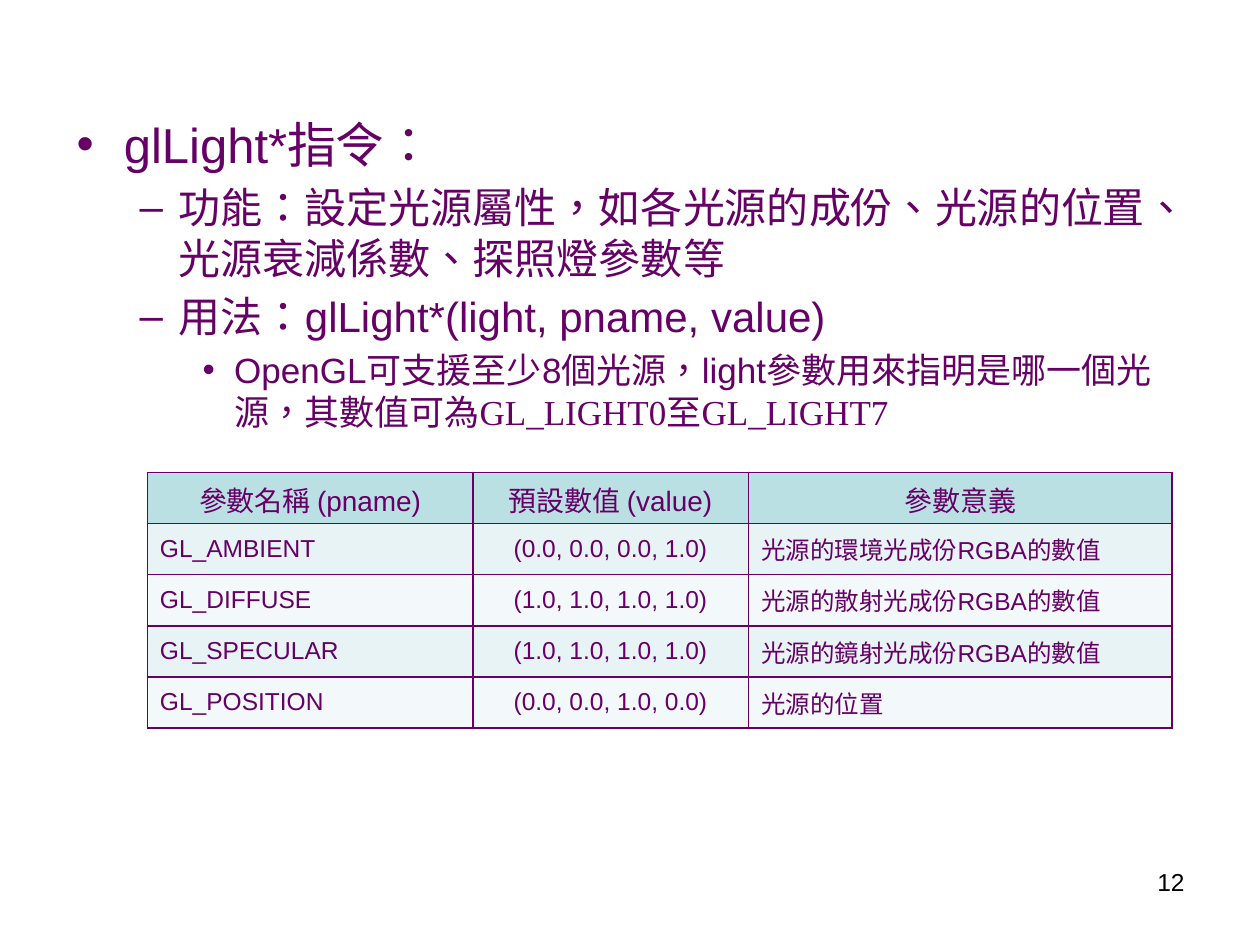
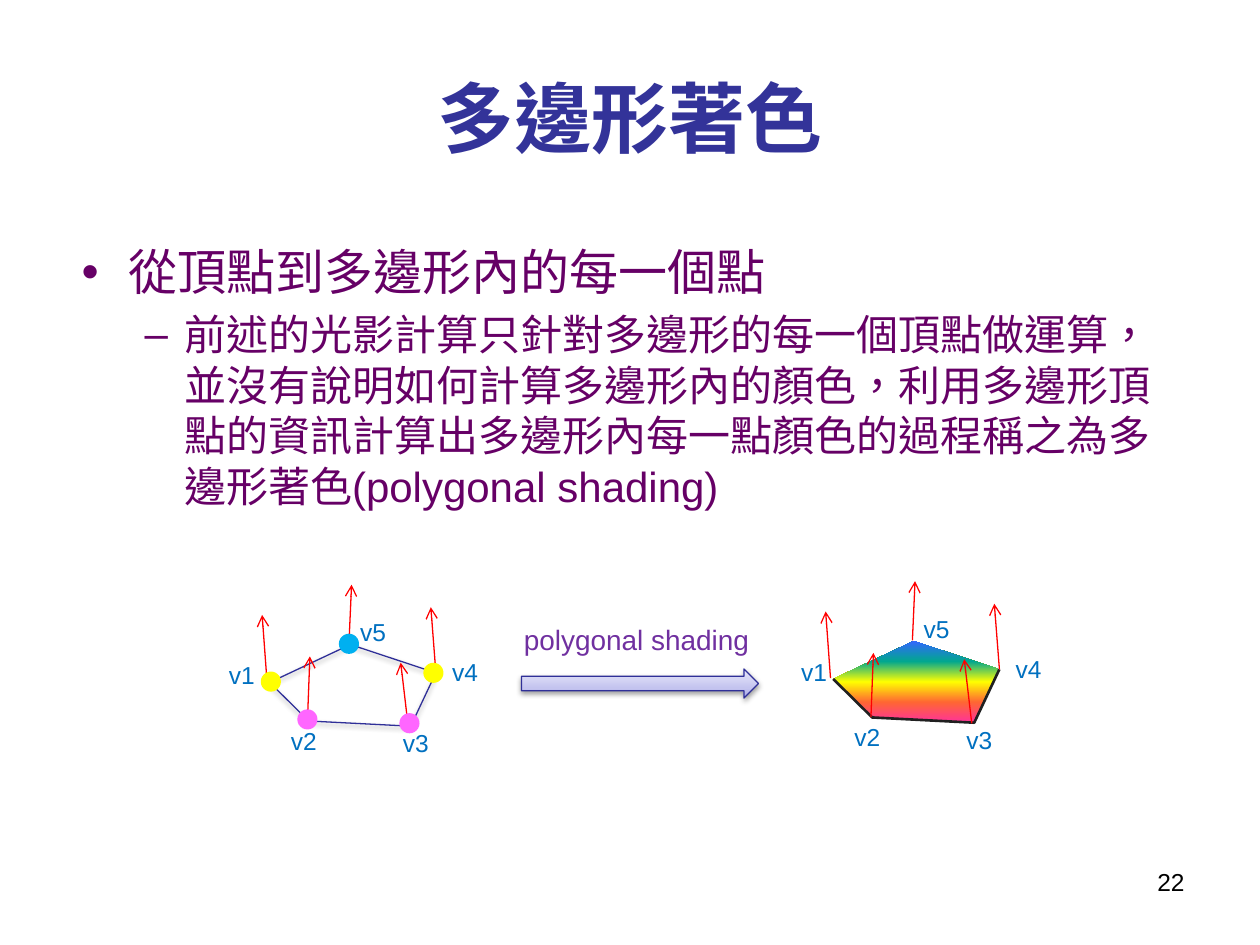
from dataclasses import dataclass

from lxml.etree import SubElement
from pptx import Presentation
from pptx.dml.color import RGBColor
from pptx.enum.lang import MSO_LANGUAGE_ID
from pptx.enum.shapes import MSO_CONNECTOR, MSO_SHAPE
from pptx.enum.text import MSO_ANCHOR, PP_ALIGN
from pptx.oxml.ns import qn
from pptx.util import Pt

LEFT, CENTER, RIGHT = PP_ALIGN.LEFT, PP_ALIGN.CENTER, PP_ALIGN.RIGHT
MIDDLE = MSO_ANCHOR.MIDDLE
STRAIGHT = MSO_CONNECTOR.STRAIGHT
OVAL, RIGHT_ARROW = MSO_SHAPE.OVAL, MSO_SHAPE.RIGHT_ARROW
ZH_TW = MSO_LANGUAGE_ID.TRADITIONAL_CHINESE


@dataclass(frozen=True)
class Theme:
    sans: str = "Arial"
    serif: str = "Times New Roman"
    title: str = "333399"
    body: str = "660066"
    number: str = "000000"
    label: str = "0070C0"
    caption: str = "7030A0"
    normal: str = "FF0000"
    outline: str = "2F2F98"
    edge: str = "202020"
    header: str = "BBE0E3"
    bands: tuple = ("E7F3F4", "F3F9FA")
    rainbow: tuple = ((0, "FF3399"), (25, "FF6633"), (50, "FFFF00"),
                      (75, "01A78F"), (100, "3366FF"))
    lavender: tuple = ((0, "A9A9E9"), (35, "C4C4EF"), (100, "E8E8FA"))
    title_size: int = 44
    body_sizes: tuple = (28, 24, 20)
    medium: int = 16
    small: int = 14


T = Theme()
# Bullet, left margin and hanging indent of each body level
LEVELS = (("•", 27, 27), ("–", 58.5, 22.5), ("•", 90, 18))


def add_box(slide, x, y, w, h):
    """Add a wrapping text box and return its text frame."""
    tf = slide.shapes.add_textbox(Pt(x), Pt(y), Pt(w), Pt(h)).text_frame
    tf.word_wrap = True
    return tf


def add_run(p, text, size, color, font=T.sans, bold=False):
    r = p.add_run()
    r.text = text
    r.font.name, r.font.size, r.font.bold = font, Pt(size), bold
    r.font.color.rgb = RGBColor.from_string(color)
    r.font.language_id = ZH_TW


prs = Presentation()
prs.slide_width, prs.slide_height = Pt(720), Pt(540)

# Body text and page numbers: number, body box, (level, runs) per paragraph
PAGES = (
    ("12", (36.7, 61.9, 648, 422.6), (
        (0, (("glLight*指令：", T.sans),)),
        (1, (("功能：設定光源屬性，如各光源的成份、光源的位置、光源衰減係數、探照燈參數等", T.sans),)),
        (1, (("用法：glLight*(light, pname, value)", T.sans),)),
        (2, (("OpenGL可支援至少8個光源，light參數用來指明是哪一個光源，其數值可為", T.sans),
             ("GL_LIGHT0至GL_LIGHT7", T.serif))),
    )),
    ("22", (39.6, 134.6, 648, 356.4), (
        (0, (("從頂點到多邊形內的每一個點", T.sans),)),
        (1, (("前述的光影計算只針對多邊形的每一個頂點做運算，並沒有說明如何計算多邊形內的顏色，"
              "利用多邊形頂點的資訊計算出多邊形內每一點顏色的過程稱之為多邊形著色"
              "(polygonal shading)", T.sans),)),
    )),
)
slides = []
for number, box, paragraphs in PAGES:
    slide = prs.slides.add_slide(prs.slide_layouts[6])
    slides.append(slide)
    tf = add_box(slide, *box)
    for i, (level, runs) in enumerate(paragraphs):
        p = tf.add_paragraph() if i else tf.paragraphs[0]
        size = T.body_sizes[level]
        bullet, margin, hanging = LEVELS[level]
        p.level = level
        p.space_before = Pt(0.2 * size)
        pPr = p._p.get_or_add_pPr()
        pPr.set("marL", str(Pt(margin)))
        pPr.set("indent", str(-Pt(hanging)))
        SubElement(pPr, qn("a:buFont"), typeface=T.sans)
        SubElement(pPr, qn("a:buChar"), char=bullet)
        for text, font in runs:
            add_run(p, text, size, T.body, font)
    p = add_box(slide, 516, 492, 168, 37.5).paragraphs[0]
    p.alignment = RIGHT
    add_run(p, number, T.small, T.number)
light_slide, shading_slide = slides

# Light parameter table
ROWS = (
    ("參數名稱 (pname)", "預設數值 (value)", "參數意義"),
    ("GL_AMBIENT", "(0.0, 0.0, 0.0, 1.0)", "光源的環境光成份RGBA的數值"),
    ("GL_DIFFUSE", "(1.0, 1.0, 1.0, 1.0)", "光源的散射光成份RGBA的數值"),
    ("GL_SPECULAR", "(1.0, 1.0, 1.0, 1.0)", "光源的鏡射光成份RGBA的數值"),
    ("GL_POSITION", "(0.0, 0.0, 1.0, 0.0)", "光源的位置"),
)
WIDTHS = (186, 157.5, 242)
ROW_HEIGHT = 29.2
table = light_slide.shapes.add_table(
    len(ROWS), len(WIDTHS), Pt(84.2), Pt(270),
    Pt(sum(WIDTHS)), Pt(ROW_HEIGHT * len(ROWS))).table
table.first_row = table.horz_banding = False
for column, width in zip(table.columns, WIDTHS):
    column.width = Pt(width)
for i, row in enumerate(ROWS):
    table.rows[i].height = Pt(ROW_HEIGHT)
    for j, text in enumerate(row):
        cell = table.cell(i, j)
        cell.vertical_anchor = MIDDLE
        tcPr = cell._tc.get_or_add_tcPr()
        for side in ("lnL", "lnR", "lnT", "lnB"):
            border = SubElement(tcPr, qn(f"a:{side}"), w=str(Pt(1)))
            SubElement(SubElement(border, qn("a:solidFill")), qn("a:srgbClr"), val=T.body)
        cell.fill.solid()
        cell.fill.fore_color.rgb = RGBColor.from_string(
            T.bands[(i - 1) % 2] if i else T.header)
        p = cell.text_frame.paragraphs[0]
        p.alignment = CENTER if i == 0 or j == 1 else LEFT
        add_run(p, text, T.small if i else T.medium, T.body)

# Shading slide title
tf = add_box(shading_slide, 36, 21.6, 648, 90)
tf.vertical_anchor = MIDDLE
p = tf.paragraphs[0]
p.alignment = CENTER
add_run(p, "多邊形著色", T.title_size, T.title, T.serif, bold=True)

# Polygon before and after shading: corner, normal start and end, label place
VERTICES = {
    "v1": ((154.1, 390), (152.6, 389.5), (149.8, 351.4), (123.8, 373.7)),
    "v2": ((176.4, 412), (175.7, 411.8), (177.1, 375.1), (159.1, 411.1)),
    "v3": ((234.7, 415), (233.3, 415.4), (229, 378.7), (223.2, 412.6)),
    "v4": ((249.1, 384.5), (249.1, 384.5), (246.2, 347), (251.3, 372.2)),
    "v5": ((200.2, 368.3), (199.4, 367.9), (200.9, 334.1), (198.7, 349.2)),
}
shapes = shading_slide.shapes
polygons = []
for dx, dy, v1_nudge in ((0, 0, 0), (322, -2, 5)):
    corners = [(Pt(x + dx), Pt(y + dy)) for (x, y), *_ in VERTICES.values()]
    builder = shapes.build_freeform(*corners[0])
    builder.add_line_segments(corners[1:], close=True)
    polygons.append(builder.convert_to_shape())
    if dx:
        builder = shapes.build_freeform(*corners[0])
        builder.add_line_segments(corners[1:4], close=False)
        lower_edge = builder.convert_to_shape()
    for name, (_, start, end, place) in VERTICES.items():
        normal = shapes.add_connector(
            STRAIGHT, Pt(start[0] + dx), Pt(start[1] + dy), Pt(end[0] + dx), Pt(end[1] + dy))
        normal.line.width = Pt(0.75)
        normal.line.color.rgb = RGBColor.from_string(T.normal)
        SubElement(normal.line._get_or_add_ln(), qn("a:tailEnd"), type="arrow")
        SubElement(normal._element.spPr, qn("a:effectLst"))
        nudge = v1_nudge if name == "v1" else 0
        tf = add_box(shading_slide, place[0] + dx + nudge, place[1] + dy, 33.8, 24.5)
        add_run(tf.paragraphs[0], name, T.small, T.label)
wireframe, shaded = polygons

lower_edge.shadow.inherit = False
lower_edge.fill.background()
lower_edge.line.width = Pt(1.5)
lower_edge.line.color.rgb = RGBColor.from_string(T.edge)

# Arrow between the polygons
arrow = shapes.add_shape(RIGHT_ARROW, Pt(298), Pt(382.3), Pt(135.4), Pt(16.6))
tf = add_box(shading_slide, 292.3, 352, 163.4, 26.6)
add_run(tf.paragraphs[0], "polygonal shading", T.medium, T.caption)

for s, stops in ((wireframe, ()), (shaded, T.rainbow), (arrow, T.lavender)):
    s.shadow.inherit = False
    spPr = s._element.spPr
    if stops:
        s.fill.gradient()
        s.fill.gradient_angle = 90
        gsLst = spPr.find(".//" + qn("a:gsLst"))
        gsLst.clear()
        for position, color in stops:
            gs = SubElement(gsLst, qn("a:gs"), pos=str(position * 1000))
            SubElement(gs, qn("a:srgbClr"), val=color)
    else:
        s.fill.background()
    if s is shaded:
        s.line.fill.background()
        continue
    s.line.width = Pt(0.75)
    s.line.color.rgb = RGBColor.from_string(T.outline)
    shadow = SubElement(spPr.find(qn("a:effectLst")), qn("a:outerShdw"), blurRad=str(Pt(3.1)),
                        dist=str(Pt(1.6)), dir="5400000", rotWithShape="0")
    tint = SubElement(shadow, qn("a:srgbClr"), val="000000")
    SubElement(tint, qn("a:alpha"), val="38000")

# Vertex colours of the unshaded polygon
DIAMETER = 11.5
for x, y, color in ((199.4, 367.9, "00B0F0"), (154.8, 389.5, "FFFF00"),
                    (175.7, 411.1, "FF66FF"), (247.7, 384.5, "FFFF00"),
                    (234, 413.3, "FF66FF")):
    s = shapes.add_shape(OVAL, Pt(x - DIAMETER / 2), Pt(y - DIAMETER / 2),
                         Pt(DIAMETER), Pt(DIAMETER))
    s.shadow.inherit = False
    s.fill.solid()
    s.fill.fore_color.rgb = RGBColor.from_string(color)
    s.line.fill.background()

prs.save("out.pptx")
